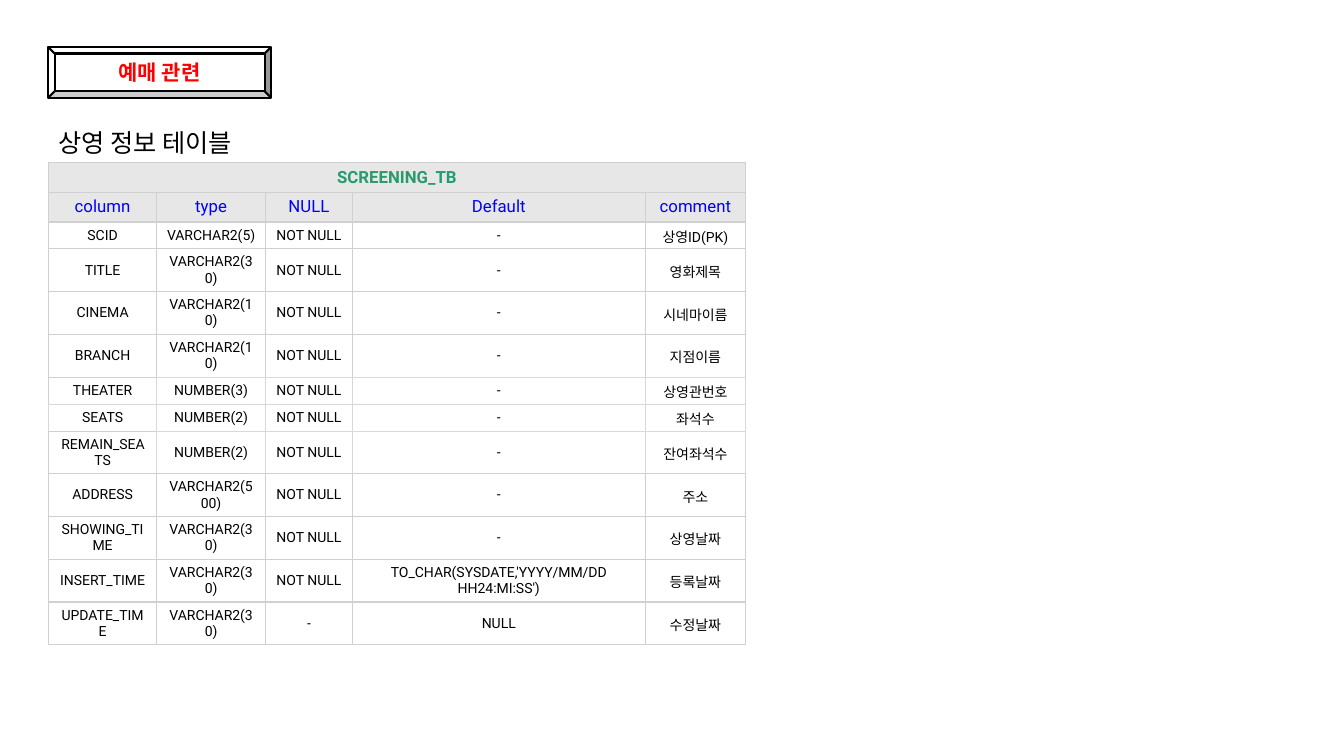
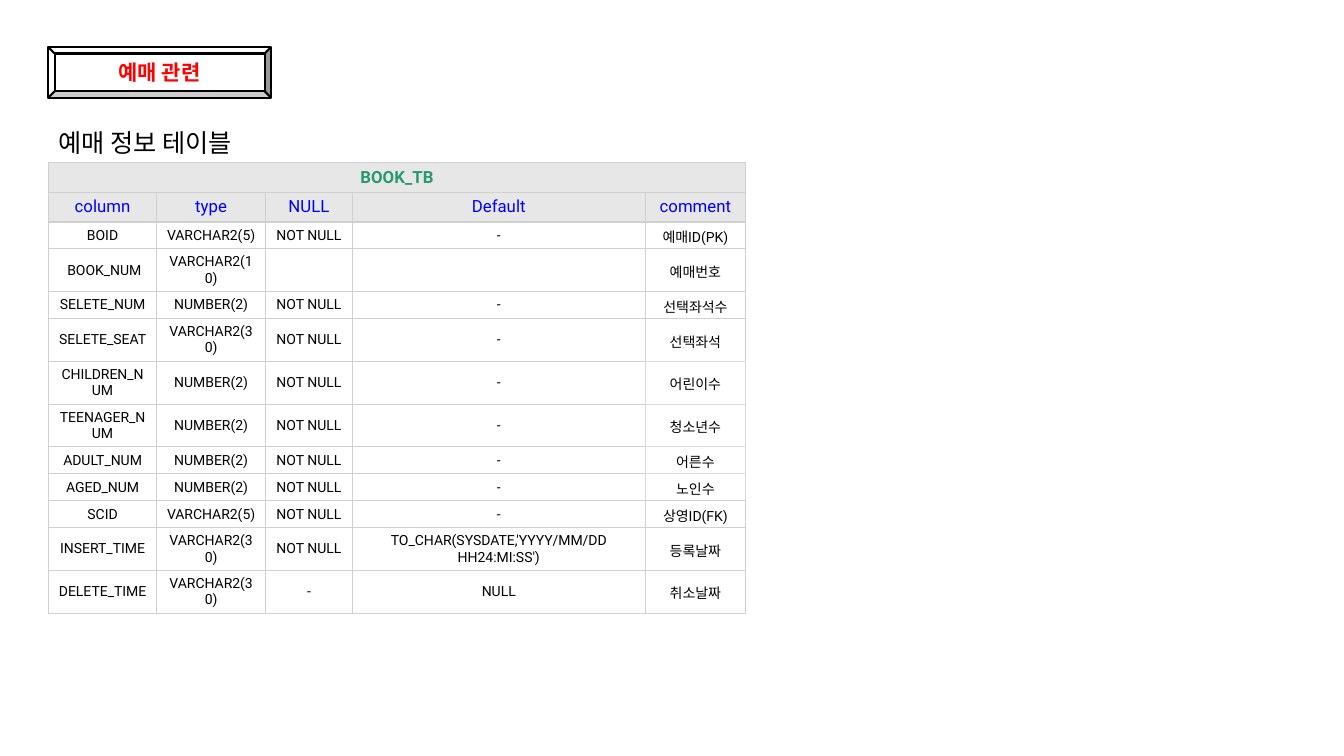
"""Build two slides that describe the screening and booking database tables."""
from dataclasses import dataclass

from lxml.etree import SubElement
from pptx import Presentation
from pptx.dml.color import RGBColor as Color
from pptx.enum.shapes import MSO_SHAPE as Preset
from pptx.enum.text import MSO_ANCHOR as Anchor, PP_ALIGN as Align
from pptx.oxml.ns import qn
from pptx.util import Cm, Pt


@dataclass(frozen=True)
class Theme:
    """Colours, fonts and type sizes shared by the slides."""
    black: str = "000000"
    white: str = "FFFFFF"
    red: str = "FF0000"
    blue: str = "0000FF"
    green: str = "289B6E"
    header_fill: str = "E7E7E7"
    border: str = "D0D0D0"
    soft_border: str = "D9D9D9"
    title_font: str = "Calibri"
    font: str = "Roboto"
    title_size: int = 18
    badge_size: int = 15
    header_size: int = 12
    body_size: int = 10


THEME = Theme()
LEFT = Cm(1.22)
COLUMN_WIDTHS = (2.73, 2.74, 2.19, 7.38, 2.53)
ROW_HEIGHT = 0.68
COMMENT_COLUMN = 4
HEADERS = ("column", "type", "NULL", "Default", "comment")
TIMESTAMP = "TO_CHAR(SYSDATE,'YYYY/MM/DD HH24:MI:SS')"

SCREENING_ROWS = (
    ("SCID", "VARCHAR2(5)", "NOT NULL", "-", "상영ID(PK)"),
    ("TITLE", "VARCHAR2(30)", "NOT NULL", "-", "영화제목"),
    ("CINEMA", "VARCHAR2(10)", "NOT NULL", "-", "시네마이름"),
    ("BRANCH", "VARCHAR2(10)", "NOT NULL", "-", "지점이름"),
    ("THEATER", "NUMBER(3)", "NOT NULL", "-", "상영관번호"),
    ("SEATS", "NUMBER(2)", "NOT NULL", "-", "좌석수"),
    ("REMAIN_SEATS", "NUMBER(2)", "NOT NULL", "-", "잔여좌석수"),
    ("ADDRESS", "VARCHAR2(500)", "NOT NULL", "-", "주소"),
    ("SHOWING_TIME", "VARCHAR2(30)", "NOT NULL", "-", "상영날짜"),
    ("INSERT_TIME", "VARCHAR2(30)", "NOT NULL", TIMESTAMP, "등록날짜"),
    ("UPDATE_TIME", "VARCHAR2(30)", "-", "NULL", "수정날짜"),
)
SCREENING_SOFT = {(row, column) for row in (6, 7, 8) for column in range(1, 5)} | {(7, 0)}

BOOKING_ROWS = (
    ("BOID", "VARCHAR2(5)", "NOT NULL", "-", "예매ID(PK)"),
    (" BOOK_NUM", "VARCHAR2(10)", "", "", "예매번호"),
    ("SELETE_NUM", "NUMBER(2)", "NOT NULL", "-", "선택좌석수"),
    ("SELETE_SEAT", "VARCHAR2(30)", "NOT NULL", "-", "선택좌석"),
    ("CHILDREN_NUM", "NUMBER(2)", "NOT NULL", "-", "어린이수"),
    ("TEENAGER_NUM", "NUMBER(2)", "NOT NULL", "-", "청소년수"),
    ("ADULT_NUM", "NUMBER(2)", "NOT NULL", "-", "어른수"),
    ("AGED_NUM", "NUMBER(2)", "NOT NULL", "-", "노인수"),
    ("SCID", "VARCHAR2(5)", "NOT NULL", "-", "상영ID(FK)"),
    ("INSERT_TIME", "VARCHAR2(30)", "NOT NULL", TIMESTAMP, "등록날짜"),
    ("DELETE_TIME", "VARCHAR2(30)", "-", "NULL", "취소날짜"),
)
BOOKING_SOFT = {(row, COMMENT_COLUMN) for row in range(6, 10)}


def set_text(text_frame, text, size, color, font=THEME.font, bold=False, align=Align.CENTER):
    """Write one formatted paragraph."""
    text_frame.text = text
    paragraph = text_frame.paragraphs[0]
    paragraph.alignment = align
    for run in paragraph.runs:
        run.font.name = font
        run.font.size = Pt(size)
        run.font.bold = bold
        run.font.color.rgb = Color.from_string(color)


def add_badge(slide, text):
    """Add the bevelled section label."""
    badge = slide.shapes.add_shape(Preset.BEVEL, LEFT, Cm(1.19), Cm(5.61), Cm(1.27))
    badge.shadow.inherit = False
    badge.fill.solid()
    badge.fill.fore_color.rgb = Color.from_string(THEME.white)
    badge.line.color.rgb = Color.from_string(THEME.black)
    badge.line.width = Pt(1.5)
    badge.text_frame.vertical_anchor = Anchor.MIDDLE
    set_text(badge.text_frame, text, THEME.badge_size, THEME.red, bold=True)


def set_title(slide, text):
    """Place and format the slide title."""
    title = slide.shapes.title
    title.left, title.top, title.width, title.height = LEFT, Cm(3.07), Cm(7.57), Cm(1.02)
    title.text_frame.vertical_anchor = Anchor.TOP
    set_text(title.text_frame, text, THEME.title_size, THEME.black,
             font=THEME.title_font, align=Align.LEFT)


def set_borders(cell, color):
    """Draw a one-point line on every side of a cell."""
    properties = cell._tc.get_or_add_tcPr()
    for side in ("lnL", "lnR", "lnT", "lnB"):
        line = SubElement(properties, qn(f"a:{side}"), w=str(Pt(1)))
        fill = SubElement(line, qn("a:solidFill"))
        SubElement(fill, qn("a:srgbClr"), val=color)


def format_cell(cell, fill, border):
    """Set the borders, fill and anchor of a cell."""
    set_borders(cell, border)
    cell.fill.solid()
    cell.fill.fore_color.rgb = Color.from_string(fill)
    cell.vertical_anchor = Anchor.MIDDLE


def add_schema_table(slide, name, rows, soft_cells):
    """Add a table with a merged name row, a header row and column definitions."""
    lines = ((name, "", "", "", ""), HEADERS, *rows)
    frame = slide.shapes.add_table(len(lines), len(HEADERS), LEFT, Cm(4.09),
                                   Cm(sum(COLUMN_WIDTHS)), Cm(ROW_HEIGHT * len(lines)))
    table = frame.table
    table.first_row = table.horz_banding = False
    for column, width in zip(table.columns, COLUMN_WIDTHS):
        column.width = Cm(width)
    for row_index, line in enumerate(lines):
        table.rows[row_index].height = Cm(ROW_HEIGHT)
        is_name, is_header = row_index == 0, row_index < 2
        color = THEME.green if is_name else THEME.blue if is_header else THEME.black
        size = THEME.header_size if is_header else THEME.body_size
        for column_index, text in enumerate(line):
            cell = table.cell(row_index, column_index)
            is_soft = (row_index, column_index) in soft_cells
            format_cell(cell, THEME.header_fill if is_header else THEME.white,
                        THEME.soft_border if is_soft else THEME.border)
            set_text(cell.text_frame, text, size, color, bold=is_name)
            if column_index == COMMENT_COLUMN and not is_header:
                cell.margin_top, cell.margin_bottom = Cm(0.1), Cm(0.05)
    table.cell(0, 0).merge(table.cell(0, len(HEADERS) - 1))


def add_schema_slide(presentation, title, name, rows, soft_cells):
    """Add a slide that describes one database table."""
    slide = presentation.slides.add_slide(presentation.slide_layouts[5])
    add_badge(slide, "예매 관련")
    set_title(slide, title)
    add_schema_table(slide, name, rows, soft_cells)


def main():
    """Build and save the presentation."""
    presentation = Presentation()
    presentation.slide_width, presentation.slide_height = Cm(33.87), Cm(19.05)
    add_schema_slide(presentation, "상영 정보 테이블", "SCREENING_TB", SCREENING_ROWS, SCREENING_SOFT)
    add_schema_slide(presentation, "예매 정보 테이블", "BOOK_TB", BOOKING_ROWS, BOOKING_SOFT)
    presentation.save("out.pptx")


if __name__ == "__main__":
    main()
